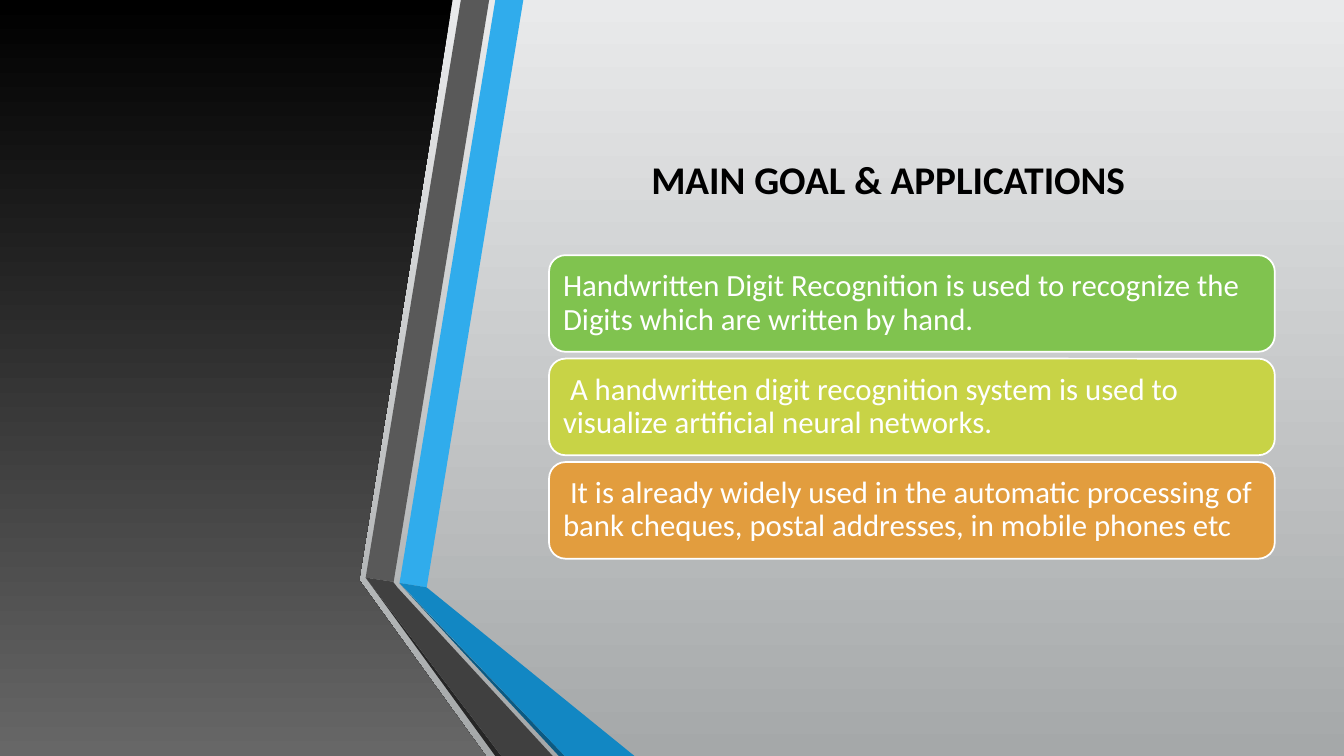
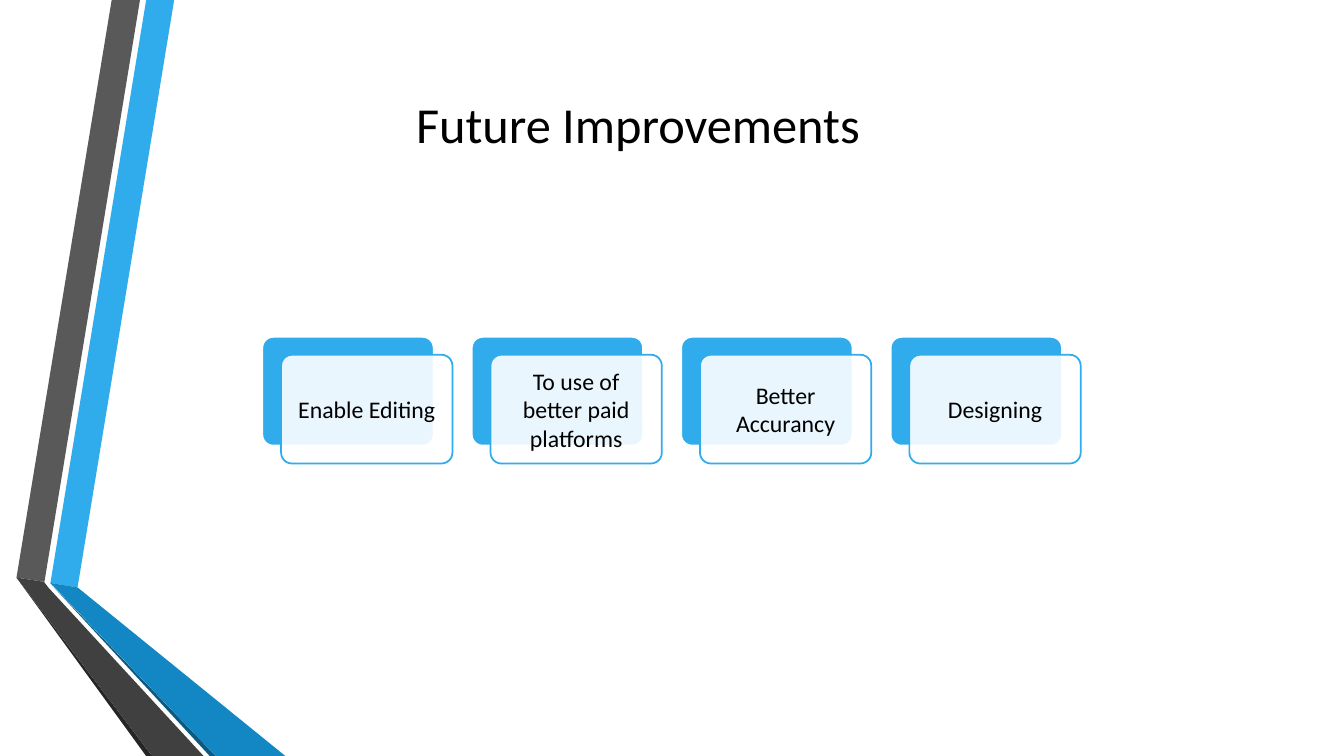
from dataclasses import dataclass

from lxml import etree
from pptx import Presentation
from pptx.dml.color import RGBColor
from pptx.enum.shapes import MSO_SHAPE
from pptx.enum.text import MSO_ANCHOR, MSO_AUTO_SIZE, PP_ALIGN
from pptx.oxml.ns import qn
from pptx.util import Pt

ROUNDED = MSO_SHAPE.ROUNDED_RECTANGLE
TOP, MIDDLE = MSO_ANCHOR.TOP, MSO_ANCHOR.MIDDLE
LEFT, CENTER = PP_ALIGN.LEFT, PP_ALIGN.CENTER
NO_AUTOFIT = MSO_AUTO_SIZE.NONE

FONT = "Calibri"
WHITE, BLACK, BLUE = "FFFFFF", "000000", "30ACEC"
PAGE_WIDTH, PAGE_HEIGHT = 960, 540
TITLE_ONLY = 5
DOWNWARD = 270  # gradient angle, counter-clockwise


@dataclass(frozen=True)
class Box:
    left: float
    top: float
    width: float
    height: float

    def moved(self, right: float, down: float) -> "Box":
        return Box(self.left + right, self.top + down, self.width, self.height)


@dataclass(frozen=True)
class Outline:
    color: str
    points: tuple[tuple[float, float], ...]


@dataclass(frozen=True)
class TextStyle:
    size: float
    color: str
    align: PP_ALIGN
    bold: bool = False
    line_spacing: float = 1.0


@dataclass(frozen=True)
class Card:
    text: str
    color: str


# Folded ribbon shared by both slides
RIBBON = (
    Outline(BLUE, ((36, 416.4), (55.4, 419.6), (124.4, 0), (104.4, 0))),
    Outline("595959", ((100, 0), (79.8, 0), (11.8, 412.6), (31.8, 415.6))),
    Outline("262626", ((11.8, 412.6), (104.4, 540), (108.7, 540))),
    Outline("0C5A82", ((36, 416.8), (149.8, 540), (154.1, 540))),
    Outline("1287C3", ((36, 416.4), (154.1, 540), (203.8, 540), (55.4, 419.6))),
    Outline("404040", ((145.4, 540), (34.6, 419.8), (31.4, 415.6),
                       (11.8, 412.6), (108.7, 540))),
)
RIBBON_SHIFT = 249.4

# Dark area to the left of the ribbon on the first slide
PANEL = Outline(BLACK, ((0, 0), (323.3, 0), (256.6, 414.4), (347, 540), (0, 540)))
PANEL_FOOT = "676767"

GOALS = (
    Card("Handwritten Digit Recognition is used to recognize the Digits "
         "which are written by hand.", "80C34F"),
    Card(" A handwritten digit recognition system is used to visualize "
         "artificial neural networks.", "C8D346"),
    Card(" It is already widely used in the automatic processing of bank "
         "cheques, postal addresses, in mobile phones etc", "E29D3E"),
)
GOAL_BOX = Box(392.2, 182.3, 518.4, 69)
GOAL_PITCH = 73.9
GOAL_STYLE = TextStyle(22, WHITE, LEFT, line_spacing=0.9)

IMPROVEMENTS = ("Enable Editing", "To use of better paid platforms",
                "Better Accurancy", "Designing")
IMPROVEMENT_BOX = Box(187.4, 240.6, 122.4, 77.7)
IMPROVEMENT_PITCH = 149.6
IMPROVEMENT_STYLE = TextStyle(17, BLACK, CENTER)


def rgb(color: str) -> RGBColor:
    return RGBColor.from_string(color)


def fill_gradient(fill, top_color: str, bottom_color: str) -> None:
    fill.gradient()
    fill.gradient_angle = DOWNWARD
    for stop, color in zip(fill.gradient_stops, (top_color, bottom_color)):
        stop.color.rgb = rgb(color)


def write_text(frame, text: str, style: TextStyle, anchor: MSO_ANCHOR) -> None:
    frame.text = text
    frame.word_wrap = True
    frame.auto_size = NO_AUTOFIT
    frame.vertical_anchor = anchor
    para = frame.paragraphs[0]
    para.alignment = style.align
    para.line_spacing = style.line_spacing
    for span in para.runs:
        span.font.name = FONT
        span.font.size = Pt(style.size)
        span.font.bold = style.bold
        span.font.color.rgb = rgb(style.color)


def add_page(deck, title: str, box: Box, style: TextStyle):
    page = deck.slides.add_slide(deck.slide_layouts[TITLE_ONLY])
    heading = page.shapes.title
    heading.left, heading.top = Pt(box.left), Pt(box.top)
    heading.width, heading.height = Pt(box.width), Pt(box.height)
    write_text(heading.text_frame, title, style, TOP)
    return page


def draw_outline(page, outline: Outline, shift: float = 0):
    corners = [(Pt(x + shift), Pt(y)) for x, y in outline.points]
    builder = page.shapes.build_freeform(*corners[0])
    builder.add_line_segments(corners[1:], close=True)
    shape = builder.convert_to_shape()
    shape.shadow.inherit = False
    shape.fill.solid()
    shape.fill.fore_color.rgb = rgb(outline.color)
    shape.line.fill.background()
    return shape


def draw_ribbon(page, shift: float = 0) -> None:
    for outline in RIBBON:
        draw_outline(page, outline, shift)


def draw_card(page, box: Box, fill: str, line: str, rounding: float):
    card = page.shapes.add_shape(ROUNDED, Pt(box.left), Pt(box.top),
                                 Pt(box.width), Pt(box.height))
    card.adjustments[0] = rounding
    card.shadow.inherit = False
    card.fill.solid()
    card.fill.fore_color.rgb = rgb(fill)
    card.line.color.rgb = rgb(line)
    card.line.width = Pt(1.25)
    return card


def label_card(card, text: str, style: TextStyle, margin: float) -> None:
    frame = card.text_frame
    frame.margin_left = frame.margin_right = Pt(margin)
    frame.margin_top = frame.margin_bottom = Pt(margin)
    write_text(frame, text, style, MIDDLE)


def set_opacity(shape, percent: int) -> None:
    solid = shape.element.spPr.find(qn("a:solidFill"))
    etree.SubElement(solid[0], qn("a:alpha"), val=str(percent * 1000))


def build_goals(deck) -> None:
    page = add_page(deck, "MAIN GOAL & APPLICATIONS", Box(458, 107.3, 388, 41),
                    TextStyle(28, BLACK, LEFT, bold=True))
    # Backdrop
    fill_gradient(page.background.fill, "E9EAEB", "A5A8A9")
    panel = draw_outline(page, PANEL)
    fill_gradient(panel.fill, PANEL.color, PANEL_FOOT)
    draw_ribbon(page, RIBBON_SHIFT)
    # Stacked goals
    for row, goal in enumerate(GOALS):
        box = GOAL_BOX.moved(0, row * GOAL_PITCH)
        card = draw_card(page, box, goal.color, WHITE, 0.17)
        label_card(card, goal.text, GOAL_STYLE, 6.6)


def build_improvements(deck) -> None:
    page = add_page(deck, "Future Improvements", Box(274.3, 62.6, 363, 51),
                    TextStyle(36, BLACK, CENTER))
    draw_ribbon(page)
    # Row of layered cards: solid back, translucent front
    for column, text in enumerate(IMPROVEMENTS):
        box = IMPROVEMENT_BOX.moved(column * IMPROVEMENT_PITCH, 0)
        draw_card(page, box, BLUE, WHITE, 0.1)
        front = draw_card(page, box.moved(13.4, 12.8), WHITE, BLUE, 0.1)
        set_opacity(front, 90)
        label_card(front, text, IMPROVEMENT_STYLE, 5)


def main() -> None:
    deck = Presentation()
    deck.slide_width, deck.slide_height = Pt(PAGE_WIDTH), Pt(PAGE_HEIGHT)
    build_goals(deck)
    build_improvements(deck)
    deck.save("out.pptx")


if __name__ == "__main__":
    main()
